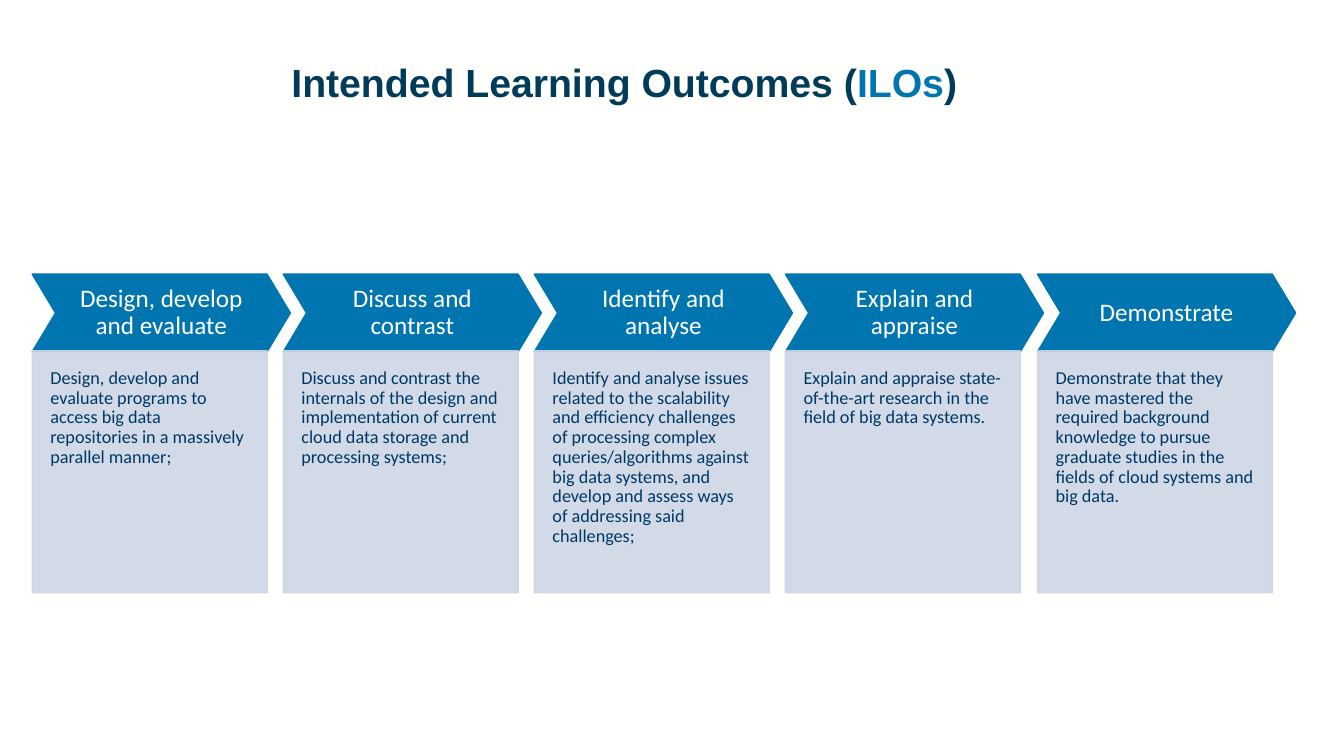
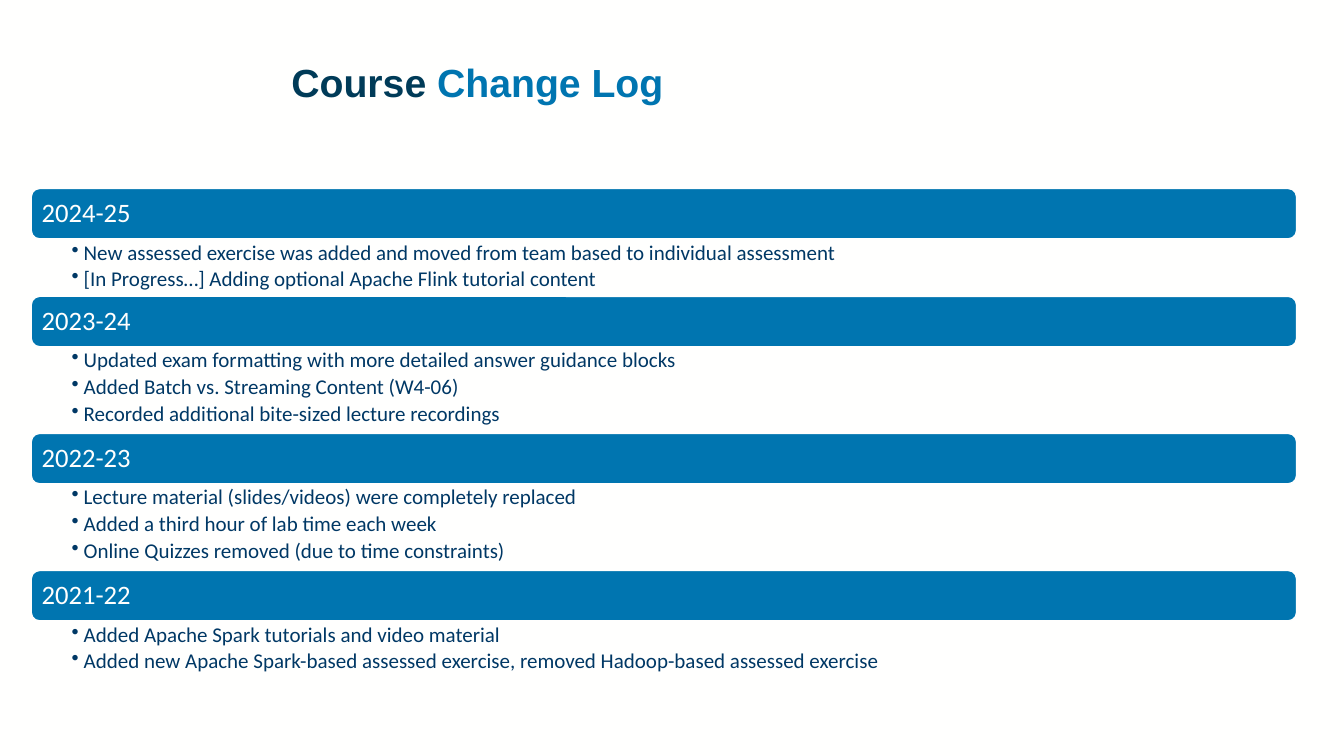
import lxml.etree
import pptx
import pptx.dml.color
import pptx.enum.shapes
import pptx.enum.text
import pptx.oxml.ns
import pptx.util

RGBColor = pptx.dml.color.RGBColor
Shape = pptx.enum.shapes.MSO_SHAPE
Align = pptx.enum.text.PP_ALIGN
Anchor = pptx.enum.text.MSO_ANCHOR

PAPER = RGBColor(0xFF, 0xFF, 0xFE)
NAVY = RGBColor(0x00, 0x3B, 0x58)
BLUE = RGBColor(0x00, 0x75, 0xB0)
INK = RGBColor(0x00, 0x38, 0x65)
PANEL = RGBColor(0xCC, 0xD6, 0xE4)

EMU_PER_PX = 9144
TITLE_FONT = "Arial"
BODY_FONT = "Calibri"
TITLE_ONLY = 5

OUTCOMES = [
    ("Design, develop and evaluate",
     "Design, develop and evaluate programs to access big data repositories "
     "in a massively parallel manner;"),
    ("Discuss and contrast",
     "Discuss and contrast the internals of the design and implementation of "
     "current cloud data storage and processing systems;"),
    ("Identify and analyse",
     "Identify and analyse issues related to the scalability and efficiency "
     "challenges of processing complex queries/algorithms against big data "
     "systems, and develop and assess ways of addressing said challenges;"),
    ("Explain and appraise",
     "Explain and appraise state-of-the-art research in the field of big data systems."),
    ("Demonstrate",
     "Demonstrate that they have mastered the required background knowledge to "
     "pursue graduate studies in the fields of cloud systems and big data."),
]

CHANGES = [
    ("2024-25", [
        "New assessed exercise was added and moved from team based to individual assessment",
        "[In Progress…] Adding optional Apache Flink tutorial content"]),
    ("2023-24", [
        "Updated exam formatting with more detailed answer guidance blocks",
        "Added Batch vs. Streaming Content (W4-06)",
        "Recorded additional bite-sized lecture recordings"]),
    ("2022-23", [
        "Lecture material (slides/videos) were completely replaced",
        "Added a third hour of lab time each week",
        "Online Quizzes removed (due to time constraints)"]),
    ("2021-22", [
        "Added Apache Spark tutorials and video material",
        "Added new Apache Spark-based assessed exercise, removed Hadoop-based assessed exercise"]),
]


def px(length):
    return pptx.util.Emu(length * EMU_PER_PX)


class Deck:
    """Holds the shared style and the slide being built."""

    def __init__(self):
        self.presentation = pptx.Presentation()
        self.presentation.slide_width = px(1333)
        self.presentation.slide_height = px(750)
        backdrop = self.presentation.slide_master.background.fill
        backdrop.solid()
        backdrop.fore_color.rgb = PAPER
        self.slide = None

    def start_slide(self, title_parts):
        layout = self.presentation.slide_layouts[TITLE_ONLY]
        self.slide = self.presentation.slides.add_slide(layout)
        title = self.slide.shapes.title
        title.left, title.top, title.width, title.height = map(px, (279, 58, 1007, 97))
        title.text_frame.word_wrap = True
        title.text_frame.vertical_anchor = Anchor.TOP
        heading = title.text_frame.paragraphs[0]
        heading.alignment = Align.LEFT
        heading.line_spacing = 0.9
        for words, color in title_parts:
            run = heading.add_run()
            run.text = words
            self.style_font(run.font, TITLE_FONT, 28, color)
            run.font.bold = True

    def style_font(self, font, name, size, color):
        font.name = name
        font.size = pptx.util.Pt(size)
        font.color.rgb = color

    def fill_text(self, frame, lines, size, color, insets, align=Align.LEFT,
                  anchor=Anchor.TOP, bulleted=False):
        frame.word_wrap = True
        frame.vertical_anchor = anchor
        (frame.margin_left, frame.margin_top,
         frame.margin_right, frame.margin_bottom) = map(px, insets)
        for index, line in enumerate(lines):
            paragraph = frame.add_paragraph() if index else frame.paragraphs[0]
            paragraph.text = line
            paragraph.alignment = align
            paragraph.line_spacing = 0.9
            if bulleted:
                paragraph.space_after = pptx.util.Pt(3)
                self.add_bullet(paragraph)
            self.style_font(paragraph.runs[0].font, BODY_FONT, size, color)

    def add_bullet(self, paragraph):
        properties = paragraph._p.get_or_add_pPr()
        properties.set("marL", str(px(12)))
        properties.set("indent", str(-px(12)))
        bullet = lxml.etree.SubElement(properties, pptx.oxml.ns.qn("a:buChar"))
        bullet.set("char", "•")

    def add_block(self, kind, box, fill, line, opacity=100):
        block = self.slide.shapes.add_shape(kind, *map(px, box))
        block.shadow.inherit = False
        block.fill.solid()
        block.fill.fore_color.rgb = fill
        block.line.color.rgb = line
        block.line.width = pptx.util.Pt(1)
        if opacity < 100:
            for color in block.element.spPr.iter(pptx.oxml.ns.qn("a:srgbClr")):
                alpha = lxml.etree.SubElement(color, pptx.oxml.ns.qn("a:alpha"))
                alpha.set("val", str(opacity * 1000))
        return block

    def add_chevron(self, box, label):
        chevron = self.add_block(Shape.CHEVRON, box, BLUE, BLUE)
        chevron.adjustments[0] = 0.3
        self.fill_text(chevron.text_frame, [label], 18, PAPER, (9, 9, 9, 9),
                       Align.CENTER, Anchor.MIDDLE)

    def add_panel(self, box, description):
        panel = self.add_block(Shape.RECTANGLE, box, PANEL, PANEL, opacity=90)
        self.fill_text(panel.text_frame, [description], 13, INK, (18, 18, 18, 37))

    def add_band(self, box, year):
        band = self.add_block(Shape.ROUNDED_RECTANGLE, box, BLUE, PAPER)
        self.fill_text(band.text_frame, [year], 19, PAPER, (8, 8, 8, 8),
                       anchor=Anchor.MIDDLE)

    def add_list(self, box, items):
        changes = self.slide.shapes.add_textbox(*map(px, box))
        self.fill_text(changes.text_frame, items, 15, INK, (40, 3, 15, 3), bulleted=True)


def build_outcomes(deck):
    deck.start_slide([("Intended Learning Outcomes (", NAVY), ("ILOs", BLUE), (")", NAVY)])
    first_left, last_left = 32, 1029
    for index, (label, description) in enumerate(OUTCOMES):
        left = first_left + (last_left - first_left) * index // (len(OUTCOMES) - 1)
        deck.add_chevron((left, 272, 256, 77), label)
        deck.add_panel((left, 348, 233, 240), description)


def build_change_log(deck):
    deck.start_slide([("Course ", NAVY), ("Change Log", BLUE)])
    left, top, width, band_height = 31, 187, 1255, 50
    for year, items in CHANGES:
        deck.add_band((left, top, width, band_height), year)
        top += band_height
        list_height = 29 * len(items) - 1
        deck.add_list((left, top, width, list_height), items)
        top += list_height


def main():
    deck = Deck()
    build_outcomes(deck)
    build_change_log(deck)
    deck.presentation.save("out.pptx")


if __name__ == "__main__":
    main()
